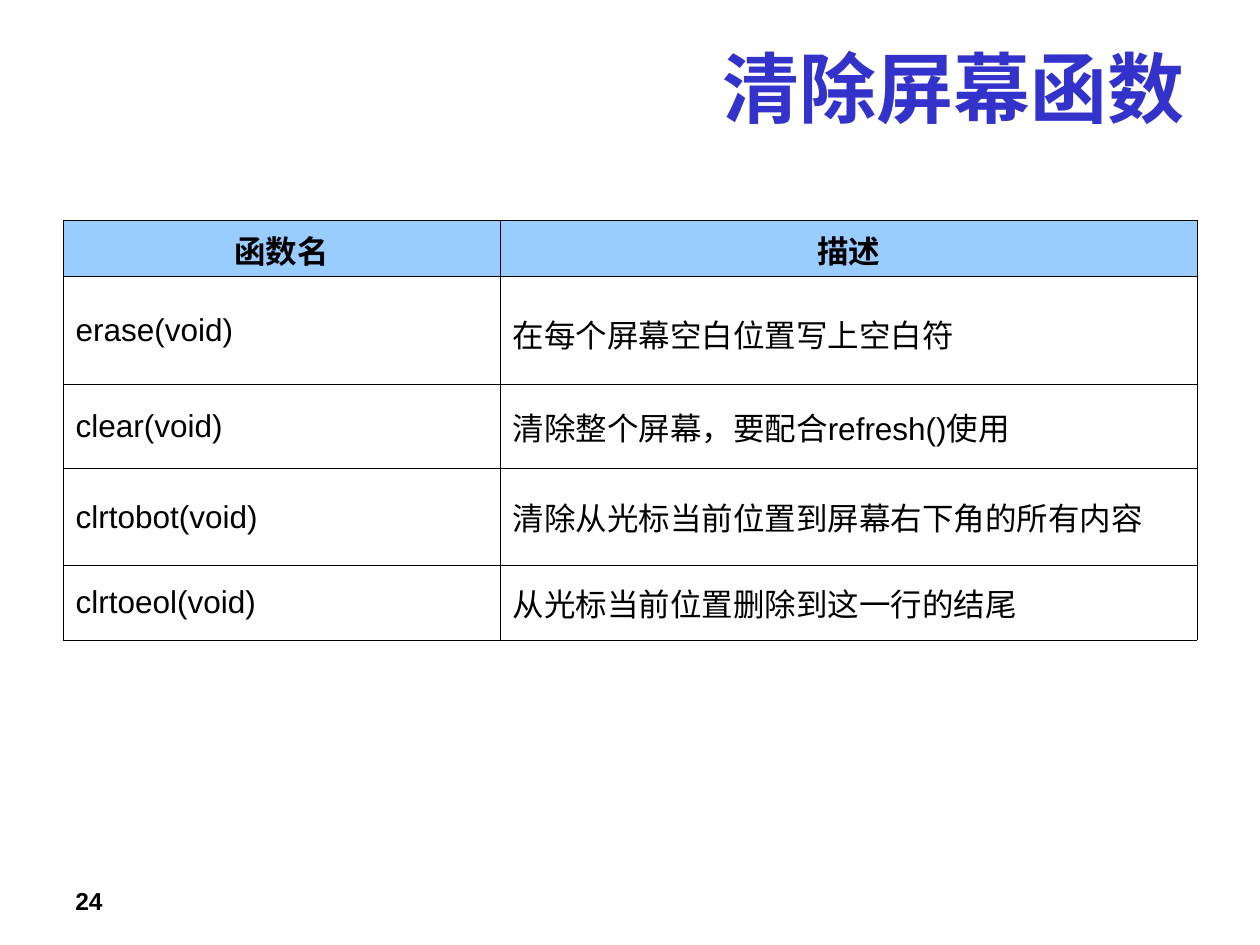
from lxml import etree
from pptx import Presentation
from pptx.dml.color import RGBColor
from pptx.enum.lang import MSO_LANGUAGE_ID
from pptx.enum.text import MSO_ANCHOR, PP_ALIGN
from pptx.oxml.ns import qn
from pptx.util import Inches, Pt

LEFT, CENTER, RIGHT = PP_ALIGN.LEFT, PP_ALIGN.CENTER, PP_ALIGN.RIGHT
TOP, MIDDLE = MSO_ANCHOR.TOP, MSO_ANCHOR.MIDDLE
CHINESE = MSO_LANGUAGE_ID.SIMPLIFIED_CHINESE
BLUE = RGBColor(0x33, 0x33, 0xCC)
SKY = RGBColor(0x99, 0xCC, 0xFF)
BLACK = RGBColor(0, 0, 0)

# Content
TITLE = "清除屏幕函数"
PAGE_NUMBER = "24"
ROWS = [
    ("函数名", "描述"),
    ("erase(void)", "在每个屏幕空白位置写上空白符"),
    ("clear(void)", "清除整个屏幕，要配合refresh()使用"),
    ("clrtobot(void)", "清除从光标当前位置到屏幕右下角的所有内容"),
    ("clrtoeol(void)", "从光标当前位置删除到这一行的结尾"),
]

# Layout in inches
WIDTH, HEIGHT = 10, 7.5
MARGIN = WIDTH * 0.05
CONTENT_WIDTH = WIDTH - 2 * MARGIN
TABLE_TOP = 1.75
COLUMN_WIDTHS = [3.47, 5.53]
ROW_HEIGHTS = [0.44, 0.86, 0.67, 0.77, 0.59]
BORDER = Pt(0.45)
LOWERED = {(1, 1): Inches(0.11)}  # top inset of the text set slightly lower

# Text formats
TITLE_FONT = {"size": Pt(44), "bold": True, "color": BLUE}
HEAD_FONT = {"size": Pt(18), "bold": True, "color": BLACK}
BODY_FONT = {**HEAD_FONT, "bold": False}
NUMBER_FONT = {**HEAD_FONT, "size": Pt(14)}


def write(frame, text, font, align):
    para = frame.paragraphs[0]
    para.alignment = align
    span = para.add_run()
    span.text = text
    values = {"name": "Arial", "language_id": CHINESE, **font}
    span.font.color.rgb = values.pop("color")
    for name, value in values.items():
        setattr(span.font, name, value)


def add_text(page, area, text, font, align, anchor):
    box = page.shapes.add_textbox(*(Inches(length) for length in area))
    box.text_frame.word_wrap = True
    box.text_frame.vertical_anchor = anchor
    write(box.text_frame, text, font, align)


def add_borders(cell):
    properties = cell._tc.get_or_add_tcPr()
    for index, side in enumerate(("a:lnL", "a:lnR", "a:lnT", "a:lnB")):
        line = etree.Element(qn(side), w=str(int(BORDER)))
        fill = etree.SubElement(line, qn("a:solidFill"))
        etree.SubElement(fill, qn("a:srgbClr"), val=str(BLACK))
        properties.insert(index, line)


deck = Presentation()
deck.slide_width, deck.slide_height = Inches(WIDTH), Inches(HEIGHT)
page = deck.slides.add_slide(deck.slide_layouts[6])

# Title
add_text(page, (MARGIN, 0.25, CONTENT_WIDTH, 0.87), TITLE, TITLE_FONT, RIGHT, MIDDLE)

# Function table
table = page.shapes.add_table(
    len(ROWS), len(COLUMN_WIDTHS), Inches(MARGIN), Inches(TABLE_TOP),
    Inches(sum(COLUMN_WIDTHS)), Inches(sum(ROW_HEIGHTS))).table
table.horz_banding = False
for column, width in zip(table.columns, COLUMN_WIDTHS):
    column.width = Inches(width)
for row, height in zip(table.rows, ROW_HEIGHTS):
    row.height = Inches(height)
for r, texts in enumerate(ROWS):
    for c, text in enumerate(texts):
        cell = table.cell(r, c)
        cell.vertical_anchor = MIDDLE
        cell.margin_top = LOWERED.get((r, c), Inches(0.05))
        if r == 0:
            cell.fill.solid()
            cell.fill.fore_color.rgb = SKY
            write(cell.text_frame, text, HEAD_FONT, CENTER)
        else:
            cell.fill.background()
            write(cell.text_frame, text, BODY_FONT, LEFT)
        add_borders(cell)

# Page number
add_text(page, (MARGIN, 6.98, 2.33, 0.24), PAGE_NUMBER, NUMBER_FONT, LEFT, TOP)

deck.save("out.pptx")
